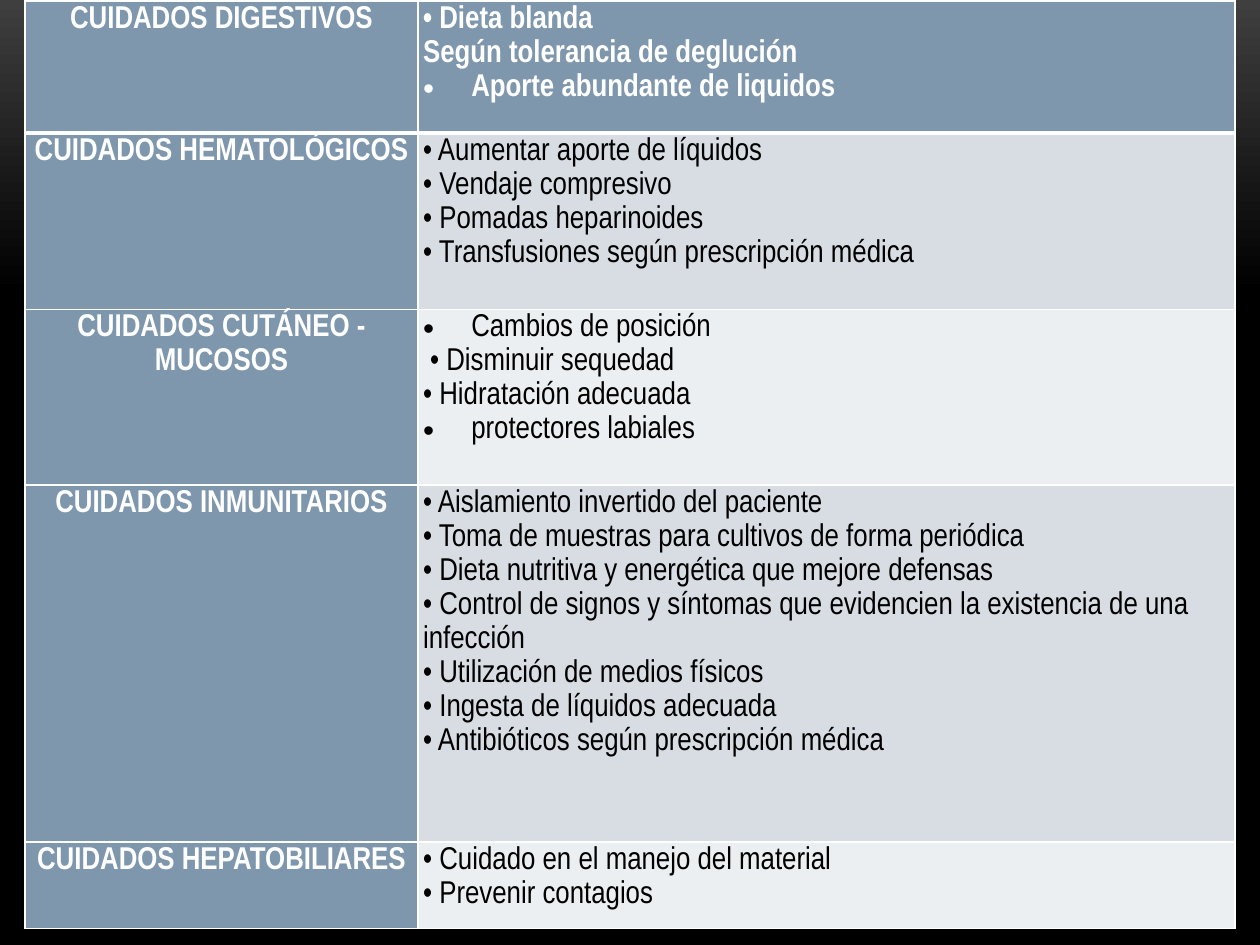
from dataclasses import dataclass

from lxml import etree
from pptx import Presentation
from pptx.dml.color import RGBColor
from pptx.enum import text
from pptx.oxml import ns
from pptx.util import Cm, Pt


@dataclass(frozen=True)
class Theme:
    font: str = "Arial Narrow"
    size: int = 18
    line_spacing: float = 1.15
    heading: str = "7E97AD"
    bands: tuple = ("ECEFF1", "D8DDE3")
    light: str = "FFFFFF"
    dark: str = "000000"
    glow: str = "3F3F3F"
    rule: int = 1
    header_rule: int = 3


THEME = Theme()
COLUMNS = (7.93, 16.47)
BULLET_INDENT = 0.97
BULLET, NUDGED = "bullet", "nudged"

# Row height in cm, kind of care, measures; a pair carries a paragraph style
CARE = [
    (2.66, "CUIDADOS DIGESTIVOS", [
        "• Dieta blanda",
        "Según tolerancia de deglución",
        ("Aporte abundante de liquidos", BULLET)]),
    (3.56, "CUIDADOS HEMATOLÓGICOS", [
        "• Aumentar aporte de líquidos",
        "• Vendaje compresivo",
        "• Pomadas heparinoides",
        "• Transfusiones según prescripción médica"]),
    (3.54, "CUIDADOS CUTÁNEO - MUCOSOS", [
        ("Cambios de posición", BULLET),
        ("• Disminuir sequedad", NUDGED),
        "• Hidratación adecuada",
        ("protectores labiales", BULLET)]),
    (7.19, "CUIDADOS INMUNITARIOS", [
        "• Aislamiento invertido del paciente",
        "• Toma de muestras para cultivos de forma periódica",
        "• Dieta nutritiva y energética que mejore defensas",
        "• Control de signos y síntomas que evidencien la existencia de una infección",
        "• Utilización de medios físicos",
        "• Ingesta de líquidos adecuada",
        "• Antibióticos según prescripción médica"]),
    (1.75, "CUIDADOS HEPATOBILIARES", [
        "• Cuidado en el manejo del material",
        "• Prevenir contagios"]),
]


def paint_background(slide):
    fill = slide.background.fill
    fill.gradient()
    fill.gradient_angle = 270
    stops = zip(fill.gradient_stops, (THEME.glow, THEME.dark), (0, 0.31))
    for stop, color, position in stops:
        stop.color.rgb = RGBColor.from_string(color)
        stop.position = position


def indent(paragraph, style):
    props = paragraph._p.get_or_add_pPr()
    if style == BULLET:
        props.set("marL", str(Cm(BULLET_INDENT)))
        props.set("indent", str(-Cm(BULLET_INDENT)))
        etree.SubElement(props, ns.qn("a:buFont"), typeface="Arial")
        etree.SubElement(props, ns.qn("a:buChar"), char="•")
    elif style == NUDGED:
        props.set("marL", str(Cm(0.14)))
        props.set("indent", "0")


def draw_borders(cell, top, bottom):
    props = cell._tc.get_or_add_tcPr()
    widths = {"L": THEME.rule, "R": THEME.rule, "T": top, "B": bottom}
    for side, width in widths.items():
        line = etree.SubElement(props, ns.qn(f"a:ln{side}"), w=str(Pt(width)))
        fill = etree.SubElement(line, ns.qn("a:solidFill"))
        etree.SubElement(fill, ns.qn("a:srgbClr"), val=THEME.light)


def fill_cell(cell, lines, color, background, bold, align):
    cell.margin_left = cell.margin_right = Cm(0.1)
    cell.margin_top = cell.margin_bottom = 0
    cell.fill.solid()
    cell.fill.fore_color.rgb = RGBColor.from_string(background)
    frame = cell.text_frame
    for number, line in enumerate(lines):
        wording, style = (line, None) if isinstance(line, str) else line
        paragraph = frame.add_paragraph() if number else frame.paragraphs[0]
        paragraph.text = wording
        paragraph.alignment = align
        paragraph.line_spacing = THEME.line_spacing
        indent(paragraph, style)
        font = paragraph.runs[0].font
        font.name, font.size, font.bold = THEME.font, Pt(THEME.size), bold
        font.color.rgb = RGBColor.from_string(color)


def add_care_table(slide):
    height = sum(row[0] for row in CARE)
    table = slide.shapes.add_table(len(CARE), len(COLUMNS), Cm(0.5), Cm(0.02),
                                   Cm(sum(COLUMNS)), Cm(height)).table
    for column, width in zip(table.columns, COLUMNS):
        column.width = Cm(width)
    for index, (row_height, care, measures) in enumerate(CARE):
        table.rows[index].height = Cm(row_height)
        is_header = index == 0
        top = THEME.header_rule if index == 1 else THEME.rule
        bottom = THEME.header_rule if is_header else THEME.rule
        care_cell, measures_cell = table.rows[index].cells
        for cell in (care_cell, measures_cell):
            draw_borders(cell, top, bottom)
        fill_cell(care_cell, [care], THEME.light, THEME.heading, True,
                  text.PP_ALIGN.CENTER)
        fill_cell(measures_cell, measures,
                  THEME.light if is_header else THEME.dark,
                  THEME.heading if is_header else THEME.bands[index % 2],
                  is_header, text.PP_ALIGN.LEFT)


def main():
    deck = Presentation()
    deck.slide_width, deck.slide_height = Cm(25.4), Cm(19.05)
    slide = deck.slides.add_slide(deck.slide_layouts.get_by_name("Blank"))
    paint_background(slide)
    add_care_table(slide)
    deck.save("out.pptx")


if __name__ == "__main__":
    main()
